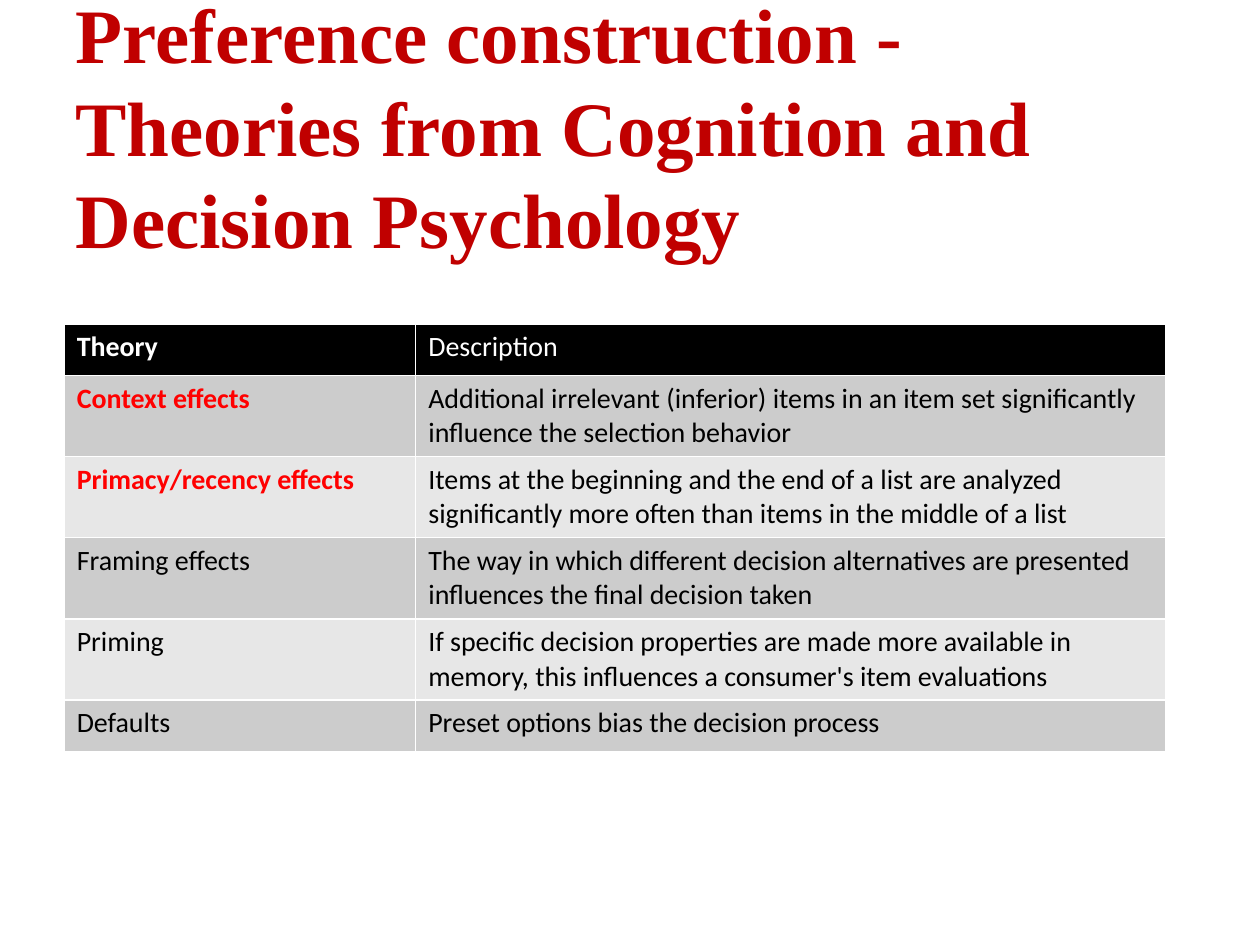
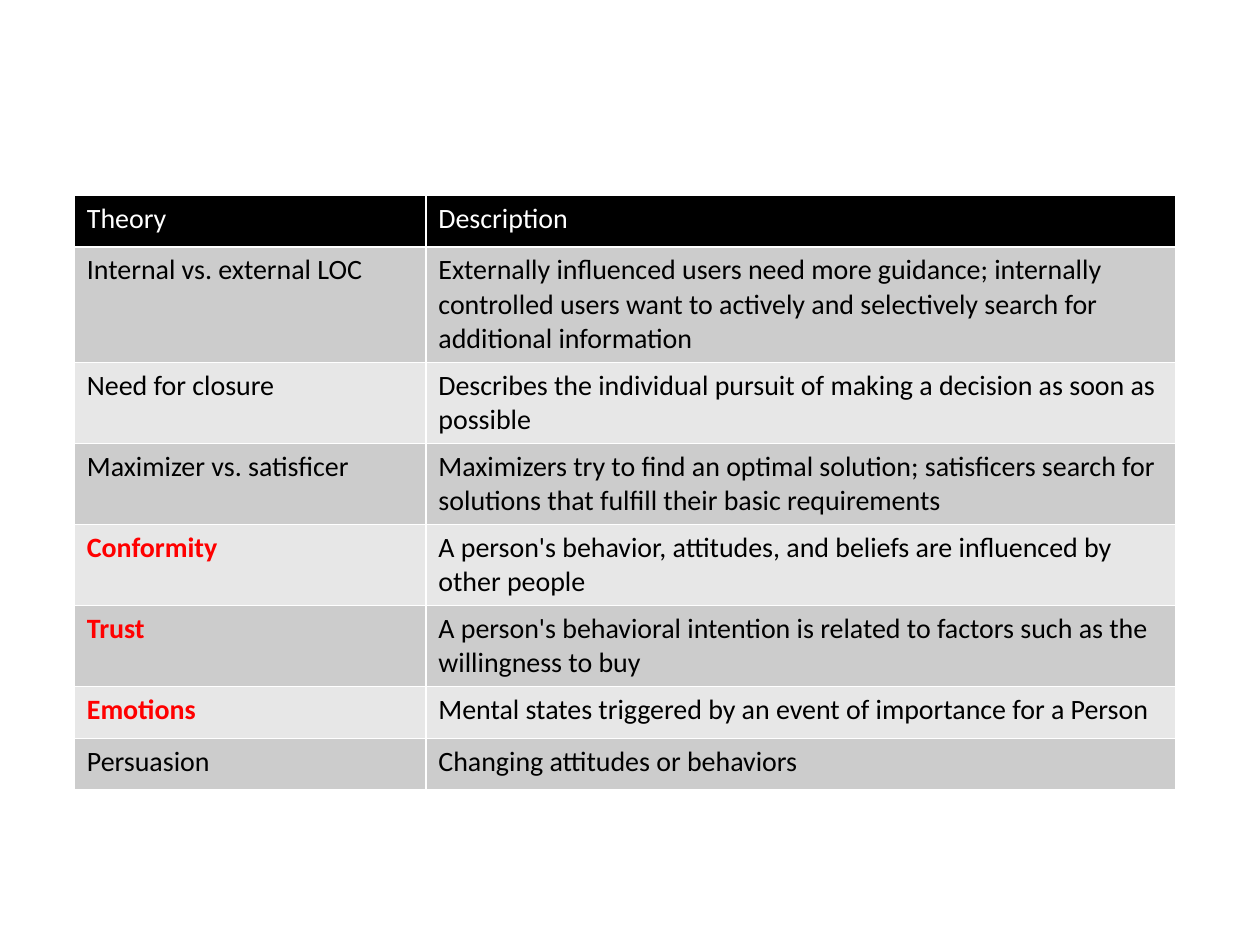
import pptx
import pptx.util
import pptx.dml.color
import pptx.enum.text

Inches = pptx.util.Inches
Pt = pptx.util.Pt

COLORS = {
    "title": "C00000",
    "key": "FF0000",
    "head": "000000",
    "light": "FFFFFF",
    "dark": "000000",
    "odd": "CCCCCC",
    "even": "E7E7E7",
}


def color(name):
    return pptx.dml.color.RGBColor.from_string(COLORS[name])


class Deck:
    widths = (2.79, 5.95)
    row = 0.41

    def __init__(self):
        self.file = pptx.Presentation()
        self.file.slide_width = Inches(10)
        self.file.slide_height = Inches(7.5)

    def page(self, layout):
        self.slide = self.file.slides.add_slide(self.file.slide_layouts[layout])

    def run(self, para, text, font, size, tint, bold=False):
        run = para.add_run()
        run.text = text
        run.font.name = font
        run.font.size = Pt(size)
        run.font.bold = bold
        run.font.color.rgb = color(tint)

    def title(self, text):
        shape = self.slide.shapes.title
        shape.left, shape.top = Inches(0.5), Inches(0.37)
        shape.width, shape.height = Inches(9), Inches(1.25)
        frame = shape.text_frame
        frame.word_wrap = True
        frame.auto_size = pptx.enum.text.MSO_AUTO_SIZE.NONE
        frame.vertical_anchor = pptx.enum.text.MSO_ANCHOR.MIDDLE
        para = frame.paragraphs[0]
        para.alignment = pptx.enum.text.PP_ALIGN.LEFT
        self.run(para, text, "Times New Roman", 44, "title", True)

    def cell(self, cell, text, fill, tint, bold):
        cell.fill.solid()
        cell.fill.fore_color.rgb = color(fill)
        self.run(cell.text_frame.paragraphs[0], text, "Calibri", 16, tint, bold)

    def table(self, left, top, rows, keys):
        grid = self.slide.shapes.add_table(
            len(rows) + 1, 2, Inches(left), Inches(top),
            Inches(sum(self.widths)), Inches(self.row * (len(rows) + 1))).table
        for col, width in zip(grid.columns, self.widths):
            col.width = Inches(width)
        for r, texts in enumerate([("Theory", "Description")] + rows):
            grid.rows[r].height = Inches(self.row)
            fill = "head" if r == 0 else "odd" if r % 2 else "even"
            plain = "light" if r == 0 else "dark"
            for c, text in enumerate(texts):
                bold = text in keys
                tint = "key" if bold and r else plain
                self.cell(grid.cell(r, c), text, fill, tint, bold)


deck = Deck()

deck.page(5)
deck.title("Preference construction - Theories from Cognition and Decision Psychology")
deck.table(0.51, 2.57, [
    ("Context effects",
     "Additional irrelevant (inferior) items in an item set significantly "
     "influence the selection behavior"),
    ("Primacy/recency effects",
     "Items at the beginning and the end of a list are analyzed "
     "significantly more often than items in the middle of a list"),
    ("Framing effects",
     "The way in which different decision alternatives are presented "
     "influences the final decision taken"),
    ("Priming",
     "If specific decision properties are made more available in "
     "memory, this influences a consumer's item evaluations"),
    ("Defaults", "Preset options bias the decision process"),
], {"Theory", "Context effects", "Primacy/recency effects"})

deck.page(6)
deck.table(0.59, 1.55, [
    ("Internal vs. external LOC",
     "Externally influenced users need more guidance; internally "
     "controlled users want to actively and selectively search for "
     "additional information"),
    ("Need for closure",
     "Describes the individual pursuit of making a decision as soon as possible"),
    ("Maximizer vs. satisficer",
     "Maximizers try to find an optimal solution; satisficers search for "
     "solutions that fulfill their basic requirements"),
    ("Conformity",
     "A person's behavior, attitudes, and beliefs are influenced by other people"),
    ("Trust",
     "A person's behavioral intention is related to factors such as the "
     "willingness to buy"),
    ("Emotions", "Mental states triggered by an event of importance for a Person"),
    ("Persuasion", "Changing attitudes or behaviors"),
], {"Conformity", "Trust", "Emotions"})

deck.file.save("out.pptx")
